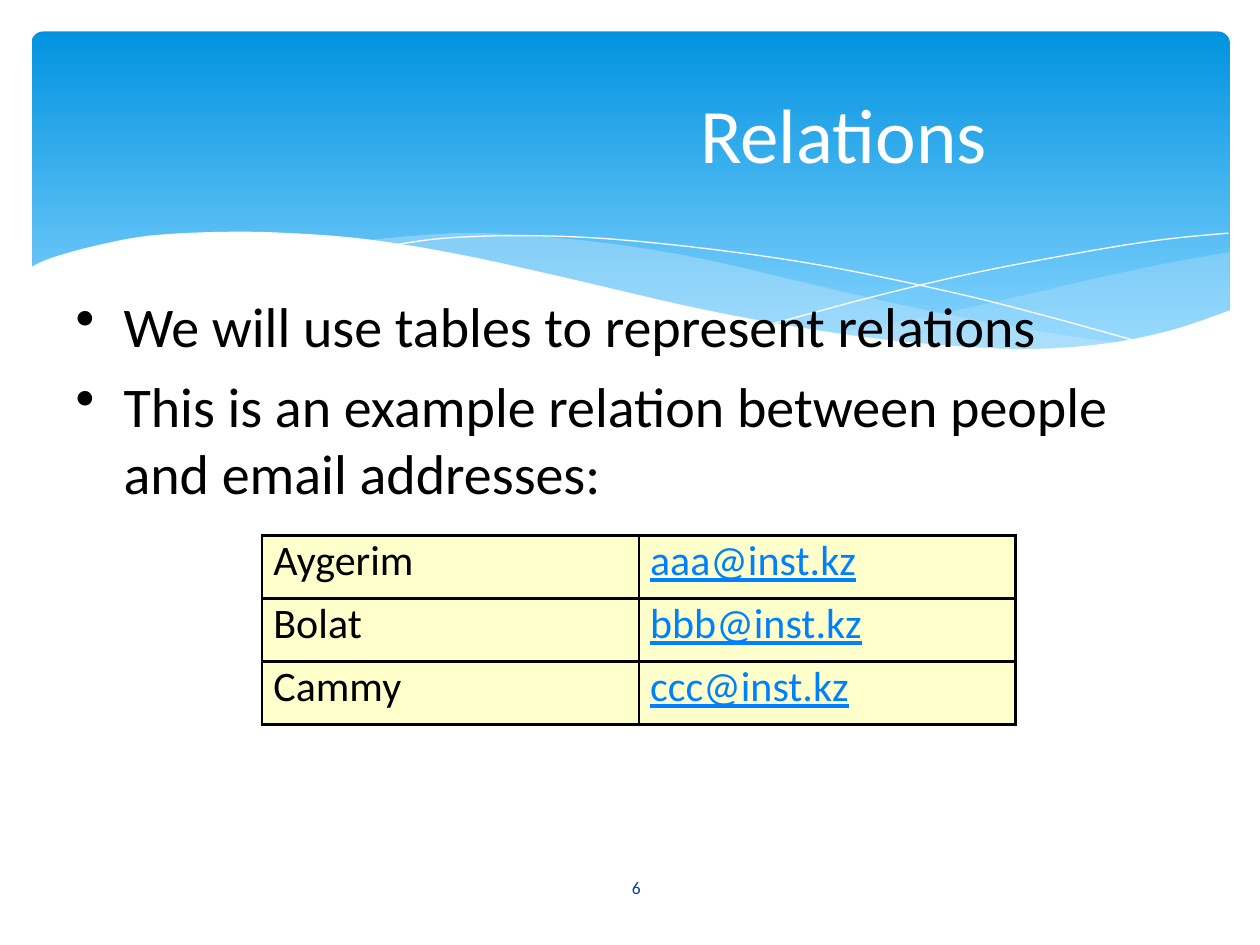
"""Build the Relations slide: a wave banner, two bullets and a table."""
from lxml import etree
from pptx import Presentation, util as u
from pptx.dml.color import RGBColor
from pptx.enum import shapes, text
from pptx.oxml import parse_xml
from pptx.oxml.ns import nsdecls, qn

WHITE, BLACK = RGBColor(255, 255, 255), RGBColor(0, 0, 0)
DEEP, SKY = RGBColor(0x02, 0x93, 0xE0), RGBColor(0x83, 0xD3, 0xFE)
PALE, NAVY = RGBColor(0xC6, 0xE7, 0xFC), RGBColor(0x07, 0x3E, 0x87)
LINK, CREAM = RGBColor(0x00, 0x80, 0xFF), RGBColor(0xFF, 0xFF, 0xCC)
WIDE, HIGH = 10, 7.5

TITLE, PAGE = "Relations", "6"
BODY = [
    ("We will use tables to represent relations", True, 0),
    ("This is an example relation between people", True, 7.7),
    ("and email addresses:", False, 0),
]
PEOPLE = [
    ("Aygerim", "aaa@inst.kz"),
    ("Bolat", "bbb@inst.kz"),
    ("Cammy", "ccc@inst.kz"),
]
COL, ROW = 2.99, 0.5

BANDS = [
    (PALE, 29, [
        [(9.76, 2), (9.21, 2.1), (8.61, 2.23), (7.79, 2.42), (7.06, 2.57),
         (6.61, 2.65)],
        [(6.61, 2.65), (7.05, 2.71), (7.57, 2.76), (8.14, 2.78),
         (8.72, 2.74), (9.21, 2.65), (9.76, 2.47)]]),
    (PALE, 40, [
        [(8.93, 2.73), (8.07, 2.6), (7.06, 2.4), (6.29, 2.22), (5.55, 2.05),
         (4.89, 1.94), (4.2, 1.87), (3.61, 1.85), (2.86, 1.91)],
        [(2.86, 1.91), (3.62, 2.03), (4.49, 2.22), (5.3, 2.4), (6.01, 2.55),
         (6.8, 2.68), (7.48, 2.76), (8.07, 2.78), (8.57, 2.77),
         (8.93, 2.73)]]),
    (None, 0, [
        [(3.09, 1.95), (3.53, 1.89), (4.16, 1.87), (4.89, 1.9), (5.82, 2),
         (6.65, 2.13), (7.6, 2.33), (8.31, 2.51), (9.07, 2.72)]]),
    (None, 0, [
        [(6.13, 2.57), (6.95, 2.35), (7.76, 2.16), (8.66, 1.99),
         (9.24, 1.9), (9.75, 1.85)]]),
    (WHITE, 100, [
        [(9.77, 2.46), (9.3, 2.62), (8.75, 2.73), (8.09, 2.77), (7.26, 2.72),
         (6.48, 2.62), (5.55, 2.45), (4.47, 2.2), (3.65, 2.02), (2.92, 1.9),
         (2.3, 1.85), (1.77, 1.84), (1.19, 1.87), (0.76, 1.95), (0.4, 2.05),
         (0.23, 2.13)],
        [(0.23, 3.29), (9.77, 3.29)]]),
]

deck = Presentation()
deck.slide_width, deck.slide_height = u.Inches(WIDE), u.Inches(HIGH)
page = deck.slides.add_slide(deck.slide_layouts[6])


def smooth(knots, steps=5):
    """Return points on a curve through the knots."""
    if len(knots) == 2:
        return knots
    ends = [knots[0], *knots, knots[-1]]
    out = [knots[0]]
    for a, b, c, d in zip(ends, ends[1:], ends[2:], ends[3:]):
        for t in (n / steps for n in range(1, steps + 1)):
            out.append(tuple(
                0.5 * (2 * q + (r - p) * t + (2 * p - 5 * q + 4 * r - s) * t**2
                       + (3 * q - p - 3 * r + s) * t**3)
                for p, q, r, s in zip(a, b, c, d)))
    return out


def draw(color, alpha, edges):
    """Draw a filled band, or a hairline when there is no colour."""
    spots = [(u.Inches(x), u.Inches(y)) for e in edges for x, y in smooth(e)]
    pen = page.shapes.build_freeform(*spots[0], scale=1.0)
    pen.add_line_segments(spots[1:], close=color is not None)
    wave = pen.convert_to_shape()
    wave.shadow.inherit = False
    if color is None:
        wave.fill.background()
        wave.line.color.rgb = WHITE
        wave.line.width = u.Pt(0)
        return
    wave.fill.solid()
    wave.fill.fore_color.rgb = color
    wave.line.fill.background()
    tint = wave.fill._xPr.find(qn("a:solidFill"))[0]
    etree.SubElement(tint, qn("a:alpha"), val=str(alpha * 1000))


def write(para, words, size, color, left=0, hang=0, **look):
    """Fill a paragraph with one run and set its indents."""
    run = para.add_run()
    run.text = words
    font = {"name": "Calibri", "size": u.Pt(size), "underline": False}
    for key, val in font.items():
        setattr(run.font, key, val)
    run.font.color.rgb = color
    for key, val in look.items():
        setattr(para, key, val)
    props = para._p.get_or_add_pPr()
    props.set("marL", str(u.Inches(left)))
    props.set("indent", str(u.Inches(hang)))
    return run


def frame(box):
    """Clear the margins of a text frame or cell."""
    for side in ("left", "right", "top", "bottom"):
        setattr(box, "margin_" + side, 0)
    return box


def area(*at, anchor=text.MSO_ANCHOR.TOP):
    """Add a wrapping text box and return its frame."""
    box = frame(page.shapes.add_textbox(*map(u.Inches, at)).text_frame)
    box.word_wrap = True
    box.vertical_anchor = anchor
    return box


banner = page.shapes.add_shape(
    shapes.MSO_SHAPE.ROUNDED_RECTANGLE,
    *map(u.Inches, (0.25, 0.25, 9.51, 2.7)))
banner.adjustments[0] = 0.034
banner.shadow.inherit = False
banner.line.fill.background()
banner.fill.gradient()
banner.fill.gradient_angle = 270
for stop, color, spot in zip(banner.fill.gradient_stops, (DEEP, SKY), (0, 0.9)):
    stop.color.rgb, stop.position = color, spot

for band in BANDS:
    draw(*band)

MID, CENTER = text.MSO_ANCHOR.MIDDLE, text.PP_ALIGN.CENTER
write(area(4.36, 6.84, 1.27, 0.4, anchor=MID).paragraphs[0], PAGE, 10, NAVY,
      0.11, alignment=CENTER, line_spacing=u.Pt(12.4))
write(area(0.5, 0.37, 9, 1.37, anchor=MID).paragraphs[0], TITLE, 44, WHITE,
      3.39, alignment=CENTER)

body = area(0.59, 2.31, 8.22, 1.72)
for n, (words, dot, gap) in enumerate(BODY):
    para = body.add_paragraph() if n else body.paragraphs[0]
    write(para, words, 32, BLACK, 0.39, -0.38 if dot else 0,
          space_before=u.Pt(gap))
    if dot:
        etree.SubElement(para._p.pPr, qn("a:buChar"), char="•")

grid = page.shapes.add_table(
    len(PEOPLE), 2,
    *map(u.Inches, (2.08, 4.25, 2 * COL, len(PEOPLE) * ROW))).table
grid.first_row = grid.horz_banding = False
for r, row in enumerate(PEOPLE):
    grid.rows[r].height = u.Inches(ROW)
    for c, words in enumerate(row):
        grid.columns[c].width = u.Inches(COL)
        cell = frame(grid.cell(r, c))
        cell.fill.solid()
        cell.fill.fore_color.rgb = CREAM
        run = write(cell.text_frame.paragraphs[0], words, 24,
                    LINK if c else BLACK, 0.09, space_before=u.Pt(1.4))
        run.font.underline = bool(c)
        for n, side in enumerate("LRTB"):
            cell._tc.tcPr.insert(n, parse_xml(
                f'<a:ln{side} {nsdecls("a")} w="{u.Pt(1.5)}"><a:solidFill>'
                f'<a:srgbClr val="{BLACK}"/></a:solidFill></a:ln{side}>'))

deck.save("out.pptx")
